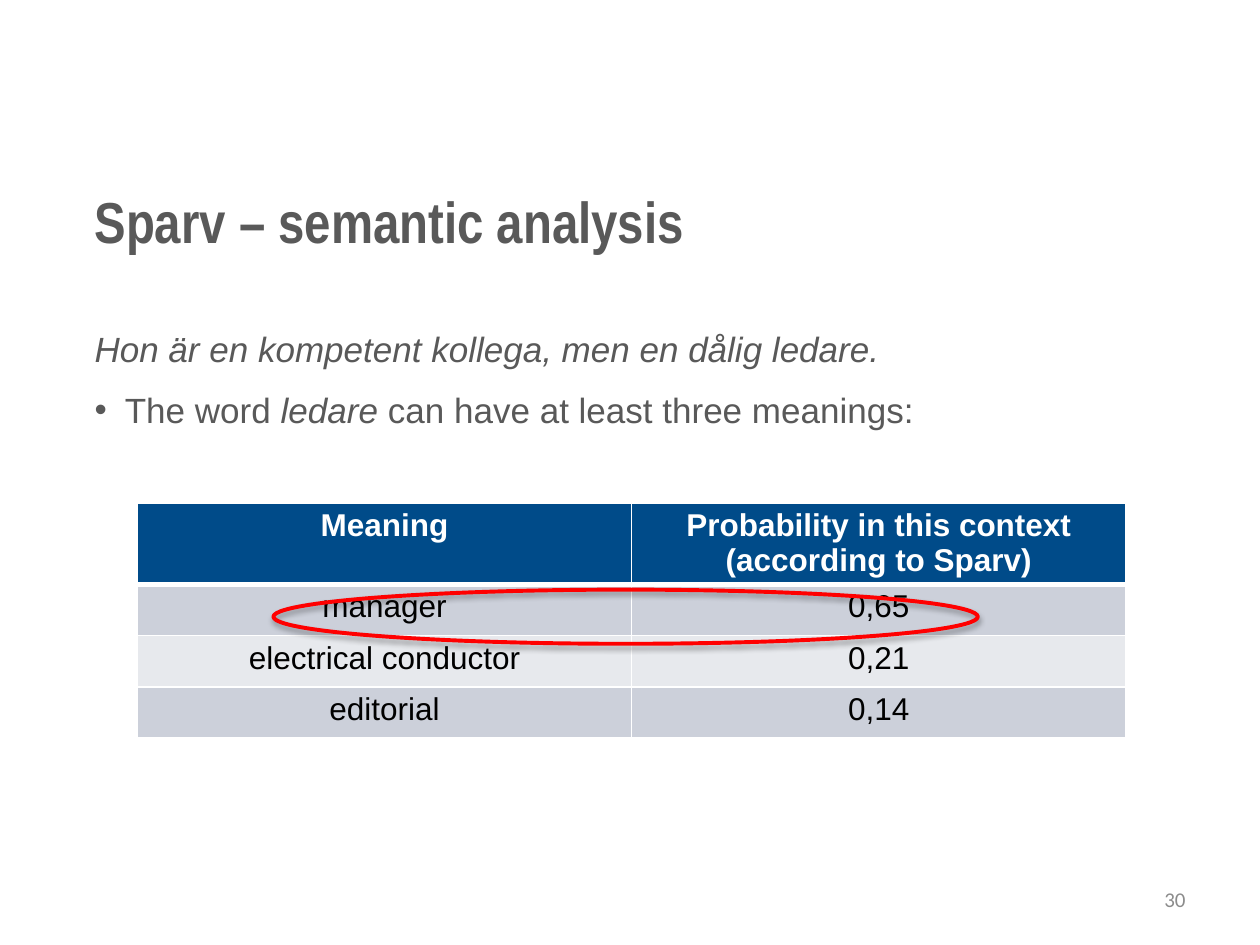
"""Build the slide on semantic analysis with Sparv."""
from dataclasses import dataclass

from lxml.etree import SubElement
from pptx import Presentation
from pptx.dml.color import RGBColor
from pptx.enum.shapes import MSO_SHAPE as Preset
from pptx.enum.text import MSO_ANCHOR as Anchor, MSO_AUTO_SIZE as AutoSize, PP_ALIGN as Align
from pptx.oxml.ns import qn
from pptx.util import Pt

WHITE = RGBColor(0xFF, 0xFF, 0xFF)
BLACK = RGBColor(0x00, 0x00, 0x00)
RED = RGBColor(0xFF, 0x00, 0x00)
BLUE = RGBColor(0x00, 0x4B, 0x89)
DARK_GREY = RGBColor(0x59, 0x59, 0x59)
MID_GREY = RGBColor(0x8C, 0x8C, 0x8C)
BANDS = (RGBColor(0xCC, 0xD0, 0xDA), RGBColor(0xE7, 0xE9, 0xED))


@dataclass(frozen=True)
class Area:
    left: float
    top: float
    width: float
    height: float

    def lengths(self) -> tuple:
        return Pt(self.left), Pt(self.top), Pt(self.width), Pt(self.height)


@dataclass(frozen=True)
class Style:
    name: str
    size: float
    color: RGBColor
    bold: bool = False
    align: Align = Align.LEFT


@dataclass(frozen=True)
class Row:
    meaning: str
    probability: str


TITLE = Style("Arial Narrow", 33, DARK_GREY, bold=True)
BODY = Style("Arial", 20, DARK_GREY)
NUMBER = Style("Calibri", 12, MID_GREY, align=Align.RIGHT)
HEADER = Style("Arial", 18, WHITE, bold=True, align=Align.CENTER)
CELL = Style("Arial", 18, BLACK, align=Align.CENTER)

ROWS = (
    Row("Meaning", "Probability in this context\n(according to Sparv)"),
    Row("manager", "0,65"),
    Row("electrical conductor", "0,21"),
    Row("editorial", "0,14"),
)
HEADER_HEIGHT, ROW_HEIGHT = 46.8, 29.2


def format_paragraph(paragraph, style: Style) -> None:
    paragraph.alignment = style.align
    font = paragraph.font
    font.name, font.size, font.bold = style.name, Pt(style.size), style.bold
    font.color.rgb = style.color


def prepare_frame(shape, anchor: Anchor = Anchor.TOP):
    frame = shape.text_frame
    frame.word_wrap = True
    frame.auto_size = AutoSize.NONE
    frame.vertical_anchor = anchor
    frame.margin_left = frame.margin_top = frame.margin_right = frame.margin_bottom = 0
    return frame


def add_title(page, area: Area, text: str) -> None:
    title = page.shapes.title
    title.left, title.top, title.width, title.height = area.lengths()
    paragraph = prepare_frame(title).paragraphs[0]
    paragraph.text = text
    paragraph.line_spacing = 0.9
    format_paragraph(paragraph, TITLE)


def add_bullet(paragraph, indent: float) -> None:
    properties = paragraph._p.get_or_add_pPr()
    properties.set("marL", str(Pt(indent)))
    properties.set("indent", str(-Pt(indent)))
    SubElement(properties, qn("a:buFont"), typeface="Arial")
    SubElement(properties, qn("a:buChar"), char="•")


def add_body(page, area: Area) -> None:
    frame = prepare_frame(page.shapes.add_textbox(*area.lengths()))
    example, claim = frame.paragraphs[0], frame.add_paragraph()
    example.text = "Hon är en kompetent kollega, men en dålig ledare."
    example.font.italic = True
    add_bullet(claim, 17.28)
    claim.space_before = Pt(8)
    for text, italic in (("The word ", False), ("ledare ", True),
                         ("can have at least three meanings:", False)):
        span = claim.add_run()
        span.text = text
        span.font.italic = italic
    for paragraph in (example, claim):
        paragraph.line_spacing = 1.1
        format_paragraph(paragraph, BODY)


def add_number(page, area: Area, text: str) -> None:
    frame = prepare_frame(page.shapes.add_textbox(*area.lengths()), Anchor.MIDDLE)
    frame.text = text
    format_paragraph(frame.paragraphs[0], NUMBER)


def set_color(parent, color: RGBColor):
    return SubElement(parent, qn("a:srgbClr"), val=str(color))


def add_borders(cell, top: float, bottom: float) -> None:
    properties = cell._tc.get_or_add_tcPr()
    for side, width in (("L", 1), ("R", 1), ("T", top), ("B", bottom)):
        line = SubElement(properties, qn(f"a:ln{side}"), w=str(Pt(width)))
        set_color(SubElement(line, qn("a:solidFill")), WHITE)


def fill_cell(cell, text: str, index: int) -> None:
    add_borders(cell, 3 if index == 1 else 1, 3 if index == 0 else 1)
    cell.fill.solid()
    cell.fill.fore_color.rgb = BANDS[(index - 1) % 2] if index else BLUE
    cell.margin_top = cell.margin_bottom = Pt(2.7)
    cell.text = text
    for paragraph in cell.text_frame.paragraphs:
        format_paragraph(paragraph, CELL if index else HEADER)


def add_meanings(page, area: Area) -> None:
    table = page.shapes.add_table(len(ROWS), 2, *area.lengths()).table
    for index, row in enumerate(ROWS):
        table.rows[index].height = Pt(ROW_HEIGHT if index else HEADER_HEIGHT)
        for column, text in enumerate((row.meaning, row.probability)):
            fill_cell(table.cell(index, column), text, index)


def add_highlight(page, area: Area) -> None:
    ellipse = page.shapes.add_shape(Preset.OVAL, *area.lengths())
    ellipse.fill.background()
    ellipse.line.color.rgb = RED
    ellipse.line.width = Pt(2.25)
    ellipse.shadow.inherit = False
    effects = ellipse._element.spPr.find(qn("a:effectLst"))
    shadow = SubElement(effects, qn("a:outerShdw"), blurRad=str(Pt(3.1)),
                        dist=str(Pt(1.8)), dir="5400000", rotWithShape="0")
    SubElement(set_color(shadow, BLACK), qn("a:alpha"), val="35000")


def main() -> None:
    deck = Presentation()
    deck.slide_width, deck.slide_height = Pt(720), Pt(540)
    page = deck.slides.add_slide(deck.slide_layouts[5])
    add_title(page, Area(54, 110.88, 623.52, 62.64), "Sparv – semantic analysis")
    add_body(page, Area(54, 185.04, 589.68, 300.24))
    add_number(page, Area(632.16, 504.72, 45.36, 18.72), "30")
    table_height = HEADER_HEIGHT + ROW_HEIGHT * (len(ROWS) - 1)
    add_meanings(page, Area(78.48, 287.28, 565, table_height))
    add_highlight(page, Area(156.24, 336.96, 402.48, 30.96))
    deck.save("out.pptx")


if __name__ == "__main__":
    main()
